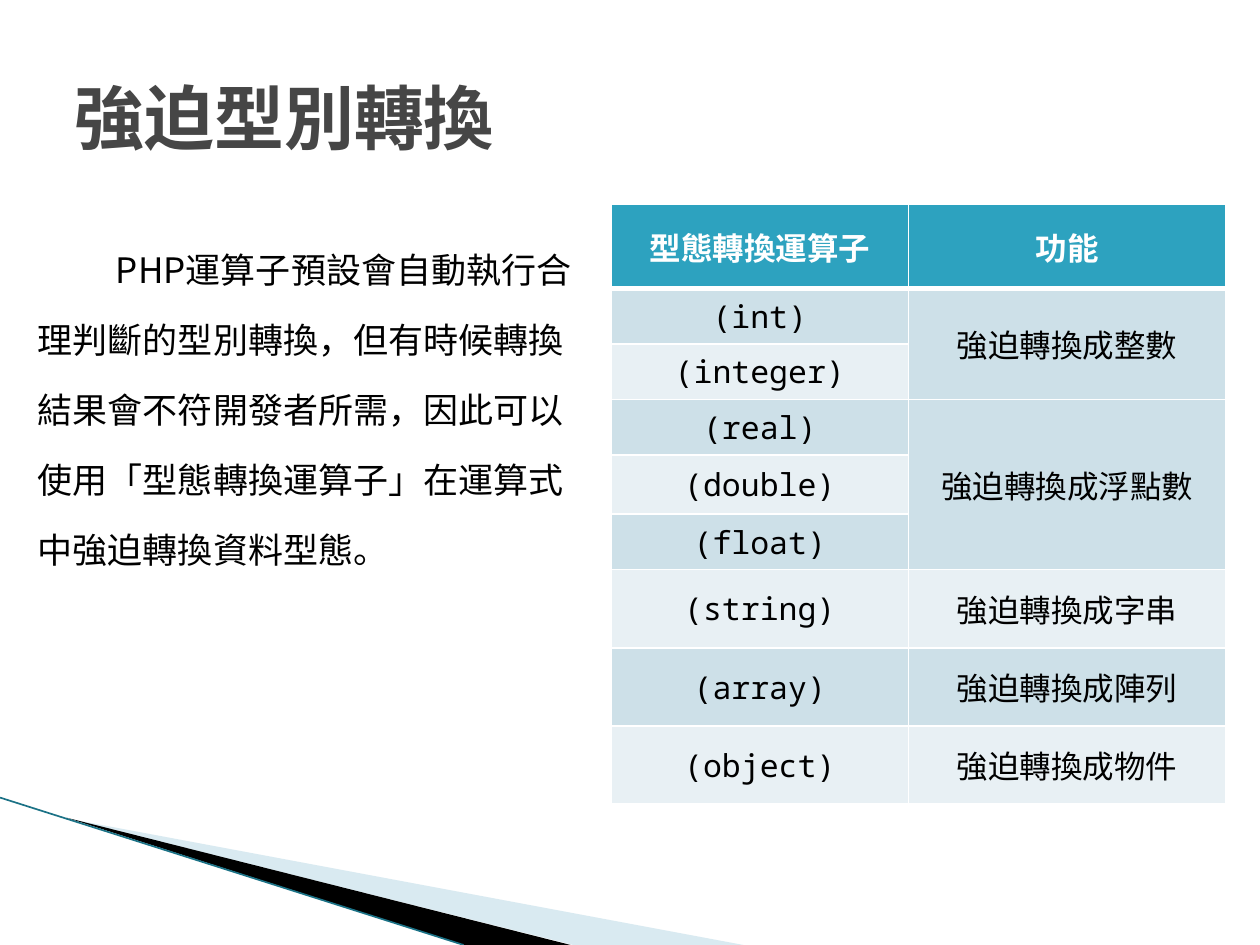
from dataclasses import dataclass

from lxml.etree import SubElement
from pptx import Presentation
from pptx.dml.color import RGBColor
from pptx.enum.shapes import MSO_CONNECTOR
from pptx.enum.text import MSO_ANCHOR, MSO_AUTO_SIZE, PP_ALIGN
from pptx.oxml.ns import qn
from pptx.util import Inches, Pt

COLUMNS, ROWS = 100, 75


@dataclass(frozen=True)
class Theme:
    title_color: str = "464646"
    text_color: str = "000000"
    header_text: str = "FFFFFF"
    header_fill: str = "2DA2BF"
    bands: tuple = ("CDE0E8", "E8F0F4")
    border: str = "FFFFFF"
    wedge_light: str = "A0CBDC"
    wedge_dark: str = "000000"
    edge: str = "1B7286"
    title_font: str = "Courier New"
    text_font: str = "Noto Sans CJK SC"
    code_font: str = "Noto Sans Mono"
    title_size: int = 40
    body_size: int = 20
    table_size: int = 18


class SlideBuilder:
    """Places elements on a grid of COLUMNS by ROWS cells."""

    def __init__(self, deck, theme):
        self.theme = theme
        self.page = deck.slides.add_slide(deck.slide_layouts[1])
        self.column = deck.slide_width / COLUMNS
        self.row = deck.slide_height / ROWS

    def point(self, x, y):
        return round(x * self.column), round(y * self.row)

    def style(self, para, font_name, size, color, bold=False):
        font = para.font
        font.name, font.size, font.bold = font_name, Pt(size), bold
        font.color.rgb = RGBColor.from_string(color)
        east_asian = SubElement(font._element, qn("a:ea"))
        east_asian.set("typeface", self.theme.text_font)

    def fill_placeholder(self, box, place, text, anchor):
        box.left, box.top = self.point(*place[:2])
        box.width, box.height = self.point(*place[2:])
        frame = box.text_frame
        frame.text = text
        frame.word_wrap = True
        frame.auto_size = MSO_AUTO_SIZE.NONE
        frame.vertical_anchor = anchor
        return frame.paragraphs[0]

    def title(self, place, text):
        para = self.fill_placeholder(self.page.shapes.title, place, text, MSO_ANCHOR.MIDDLE)
        para.alignment = PP_ALIGN.LEFT
        self.style(para, self.theme.title_font, self.theme.title_size,
                   self.theme.title_color, bold=True)

    def body(self, place, text, first_indent):
        para = self.fill_placeholder(self.page.placeholders[1], place, text, MSO_ANCHOR.TOP)
        para.line_spacing, para.space_before = Pt(40), Pt(4)
        properties = para._p.get_or_add_pPr()
        properties.set("marL", "0")
        properties.set("indent", str(round(first_indent * self.column)))
        SubElement(properties, qn("a:buNone"))
        self.style(para, self.theme.text_font, self.theme.body_size, self.theme.text_color)

    def wedge(self, corners, color, opacity=100):
        start, *others = [self.point(*corner) for corner in corners]
        builder = self.page.shapes.build_freeform(*start)
        builder.add_line_segments(others, close=True)
        shape = builder.convert_to_shape()
        shape.shadow.inherit = False
        shape.line.fill.background()
        shape.fill.solid()
        shape.fill.fore_color.rgb = RGBColor.from_string(color)
        if opacity < 100:
            color_node = shape._element.spPr.find(qn("a:solidFill"))[0]
            SubElement(color_node, qn("a:alpha")).set("val", str(opacity * 1000))

    def edge(self, start, end):
        line = self.page.shapes.add_connector(
            MSO_CONNECTOR.STRAIGHT, *self.point(*start), *self.point(*end))
        line.line.color.rgb = RGBColor.from_string(self.theme.edge)
        line.line.width = Pt(0.95)
        SubElement(line._element.spPr, qn("a:effectLst"))

    def cell(self, cell, text, fill, font_name, color, header=False):
        properties = cell._tc.get_or_add_tcPr()
        for side in ("lnL", "lnR", "lnT", "lnB"):
            border = SubElement(properties, qn(f"a:{side}"))
            border.set("w", str(Pt(3 if header and side == "lnB" else 1)))
            paint = SubElement(border, qn("a:solidFill"))
            SubElement(paint, qn("a:srgbClr")).set("val", self.theme.border)
        cell.fill.solid()
        cell.fill.fore_color.rgb = RGBColor.from_string(fill)
        cell.vertical_anchor = MSO_ANCHOR.MIDDLE
        cell.text = text
        para = cell.text_frame.paragraphs[0]
        para.alignment = PP_ALIGN.CENTER
        self.style(para, font_name, self.theme.table_size, color, bold=header)

    def cast_table(self, corner, widths, heights, headers, groups):
        """Each group lists its operators and the one meaning they share."""
        theme = self.theme
        size = self.point(sum(widths), sum(heights))
        table = self.page.shapes.add_table(
            len(heights), len(widths), *self.point(*corner), *size).table
        for column, width in zip(table.columns, widths):
            column.width = round(width * self.column)
        for row, height in zip(table.rows, heights):
            row.height = round(height * self.row)
        for index, text in enumerate(headers):
            self.cell(table.cell(0, index), text, theme.header_fill,
                      theme.text_font, theme.header_text, header=True)
        row = 1
        for operators, meaning in groups:
            first = row
            for operator in operators:
                band = theme.bands[(row - 1) % 2]
                self.cell(table.cell(row, 0), operator, band,
                          theme.code_font, theme.text_color)
                self.cell(table.cell(row, 1), meaning if row == first else "", band,
                          theme.text_font, theme.text_color)
                row += 1
            if len(operators) > 1:
                table.cell(first, 1).merge(table.cell(row - 1, 1))


def main():
    deck = Presentation()
    deck.slide_width, deck.slide_height = Inches(10), Inches(7.5)
    theme = Theme()
    slide = SlideBuilder(deck, theme)

    slide.wedge([(5.5, 65), (59, 75), (45.5, 75)], theme.wedge_light, opacity=40)
    slide.wedge([(5.3, 64.9), (45.3, 75), (36.8, 75)], theme.wedge_dark)
    slide.edge((0, 63.3), (36.8, 75))

    slide.title((4.9, 3, 90, 12.5), "強迫型別轉換")
    slide.body(
        (2, 17, 45.3, 47.3),
        "PHP運算子預設會自動執行合理判斷的型別轉換，但有時候轉換結果會不符開發者所需，"
        "因此可以使用「型態轉換運算子」在運算式中強迫轉換資料型態。",
        first_indent=6.2)
    slide.cast_table(
        corner=(48.5, 16.2),
        widths=(23.6, 25.2),
        heights=(6.7, 4.4, 4.4, 4.4, 4.7, 4.4, 6.2, 6.2, 6.2),
        headers=("型態轉換運算子", "功能"),
        groups=[
            (("(int)", "(integer)"), "強迫轉換成整數"),
            (("(real)", "(double)", "(float)"), "強迫轉換成浮點數"),
            (("(string)",), "強迫轉換成字串"),
            (("(array)",), "強迫轉換成陣列"),
            (("(object)",), "強迫轉換成物件"),
        ])
    deck.save("out.pptx")


if __name__ == "__main__":
    main()
